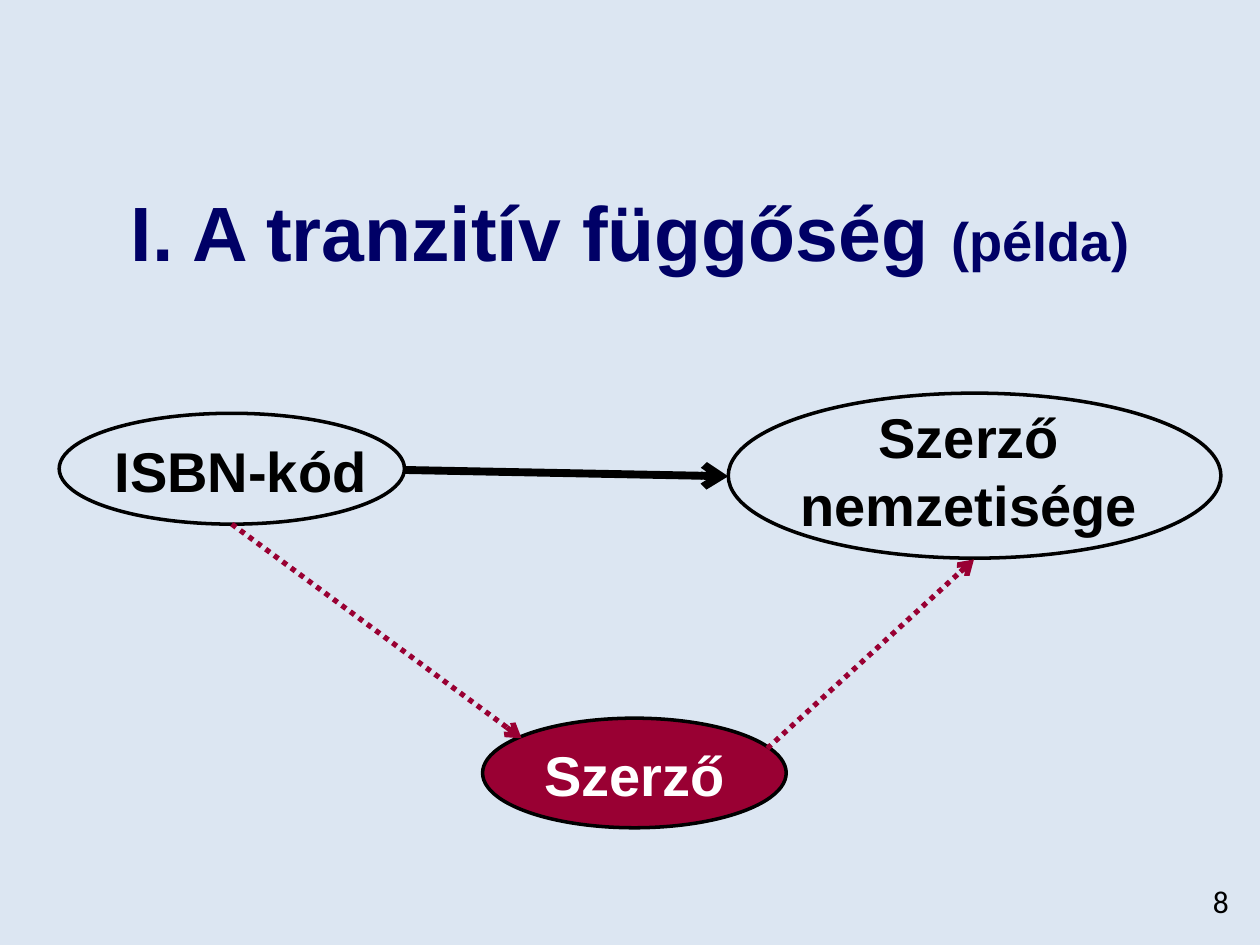
import pptx
import pptx.dml.color
import pptx.enum.dml
import pptx.enum.shapes
import pptx.enum.text
import pptx.oxml
import pptx.oxml.ns
import pptx.util

Inches = pptx.util.Inches
Pt = pptx.util.Pt
RGBColor = pptx.dml.color.RGBColor
Align = pptx.enum.text.PP_ALIGN
Dash = pptx.enum.dml.MSO_LINE

BLACK = RGBColor(0x00, 0x00, 0x00)
WHITE = RGBColor(0xFF, 0xFF, 0xFF)
NAVY = RGBColor(0x00, 0x00, 0x66)
WINE = RGBColor(0x99, 0x00, 0x33)
PALE = RGBColor(0xDC, 0xE6, 0xF2)


class Board:
    """Draws styled elements on the current slide."""

    font = "Arial"
    edge = 2

    def __init__(self, slide):
        self.slide = slide
        fill = slide.background.fill
        fill.solid()
        fill.fore_color.rgb = PALE

    def text(self, box, runs, color=BLACK, font=font, bold=True, align=Align.CENTER):
        frame = self.slide.shapes.add_textbox(*map(Inches, box)).text_frame
        frame.word_wrap = True
        frame.vertical_anchor = pptx.enum.text.MSO_ANCHOR.MIDDLE
        para = frame.paragraphs[0]
        para.alignment = align
        for words, size in runs:
            run = para.add_run()
            run.text = words
            run.font.name = font
            run.font.size = Pt(size)
            run.font.bold = bold
            run.font.color.rgb = color

    def oval(self, box, fill=None):
        kind = pptx.enum.shapes.MSO_SHAPE.OVAL
        shape = self.slide.shapes.add_shape(kind, *map(Inches, box))
        shape.shadow.inherit = False
        if fill is None:
            shape.fill.background()
        else:
            shape.fill.solid()
            shape.fill.fore_color.rgb = fill
        shape.line.color.rgb = BLACK
        shape.line.width = Pt(self.edge)

    def arrow(self, start, end, color, width, dash=None):
        kind = pptx.enum.shapes.MSO_CONNECTOR.STRAIGHT
        link = self.slide.shapes.add_connector(kind, *map(Inches, start + end))
        link.line.color.rgb = color
        link.line.width = Pt(width)
        if dash:
            link.line.dash_style = dash
        tail = pptx.oxml.parse_xml(
            f'<a:tailEnd {pptx.oxml.ns.nsdecls("a")} type="arrow"/>')
        link.line._get_or_add_ln().append(tail)
        link._element.spPr.append(
            pptx.oxml.parse_xml(f'<a:effectLst {pptx.oxml.ns.nsdecls("a")}/>'))


def main():
    deck = pptx.Presentation()
    deck.slide_width = Inches(10)
    deck.slide_height = Inches(7.5)
    board = Board(deck.slides.add_slide(deck.slide_layouts[6]))

    board.text((7.17, 6.95, 2.68, 0.4), [("8", 18)],
               font="Calibri", bold=False, align=Align.RIGHT)

    nodes = [
        ("ISBN-kód", (0.47, 3.28, 2.74, 0.88), (0.62, 3.41, 2.58, 0.64), None, BLACK),
        ("Szerző nemzetisége", (5.78, 3.12, 3.91, 1.31), (5.7, 3.14, 3.98, 1.18), None, BLACK),
        ("Szerző", (3.83, 5.7, 2.41, 0.87), (3.83, 5.82, 2.41, 0.64), WINE, WHITE),
    ]
    for words, oval, box, fill, color in nodes:
        board.oval(oval, fill)
        board.text(box, [(words, 32)], color)

    board.arrow((3.21, 3.73), (5.78, 3.78), BLACK, 4.5)
    for start, end in [((1.84, 4.16), (4.14, 5.86)), ((6.09, 5.94), (7.73, 4.44))]:
        board.arrow(start, end, WINE, 3, Dash.ROUND_DOT)

    board.text((0, 1.36, 10, 0.94),
               [("I. A tranzitív függőség ", 44), ("(példa)", 31)], NAVY)
    deck.save("out.pptx")


if __name__ == "__main__":
    main()
